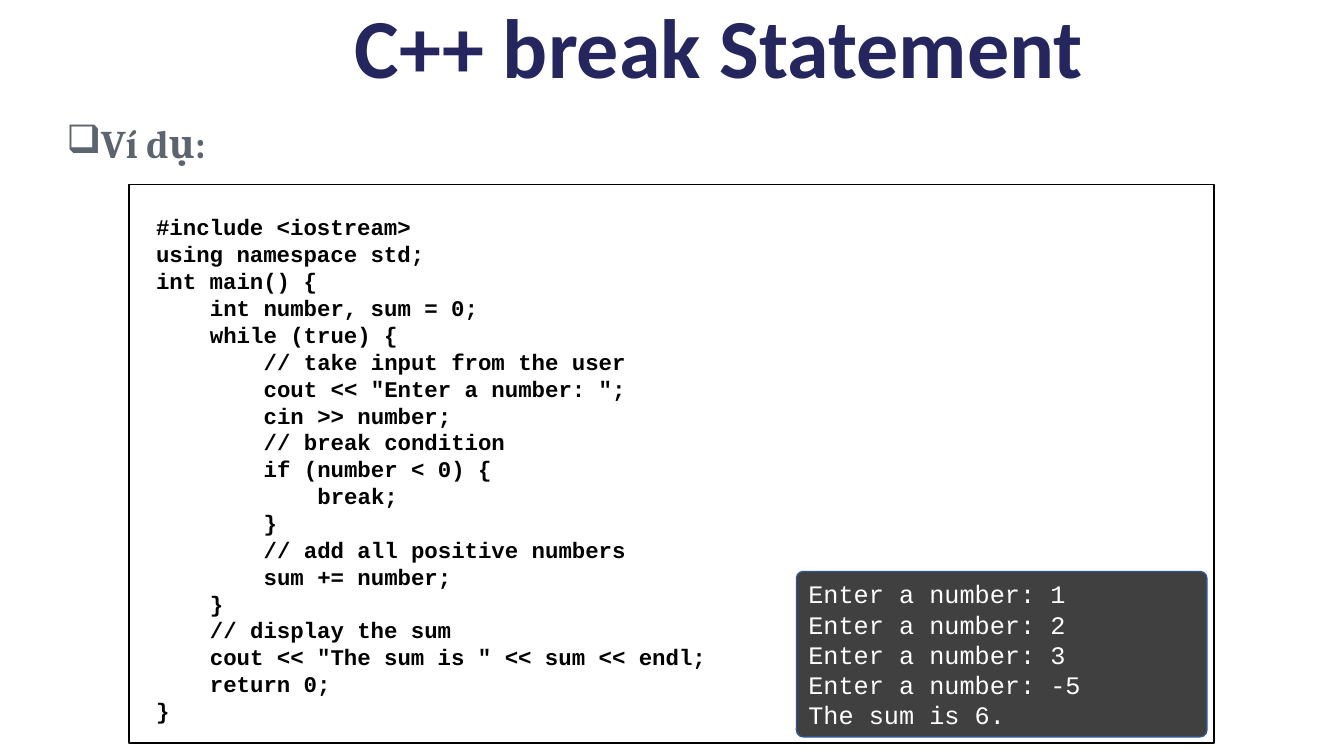
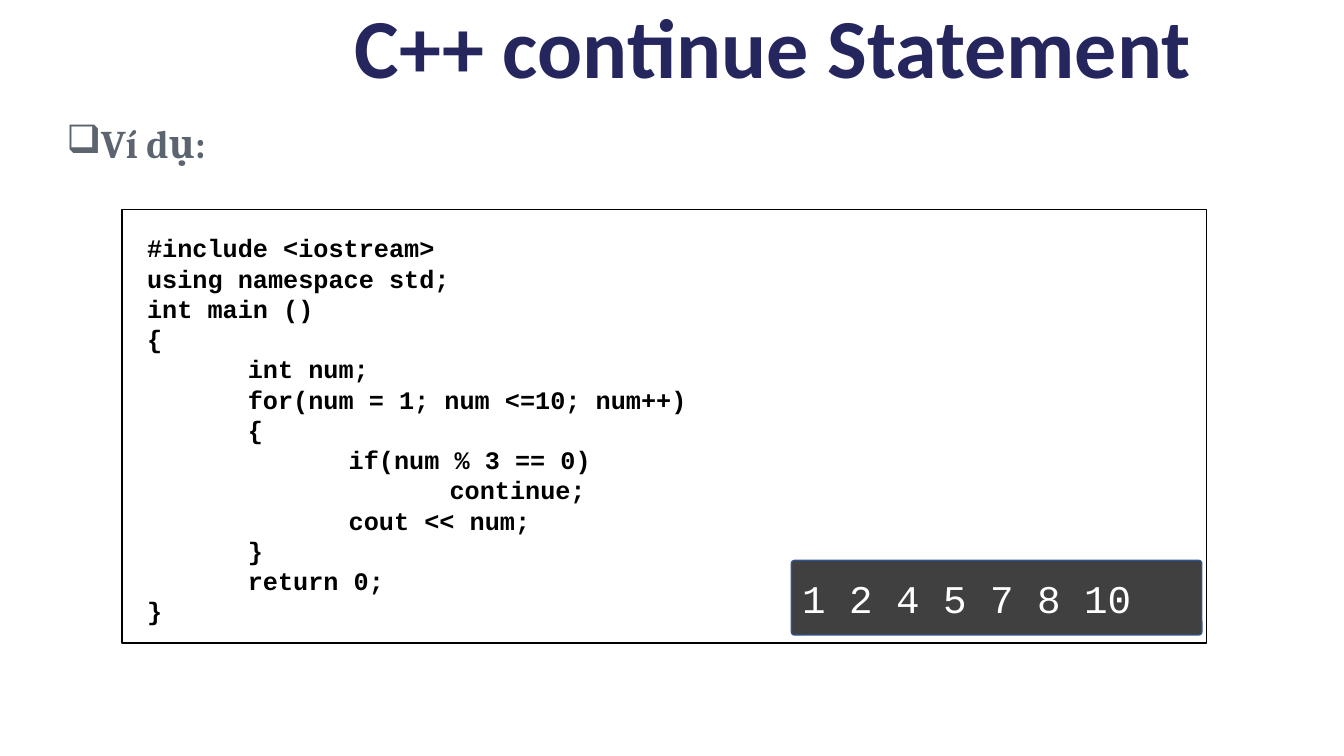
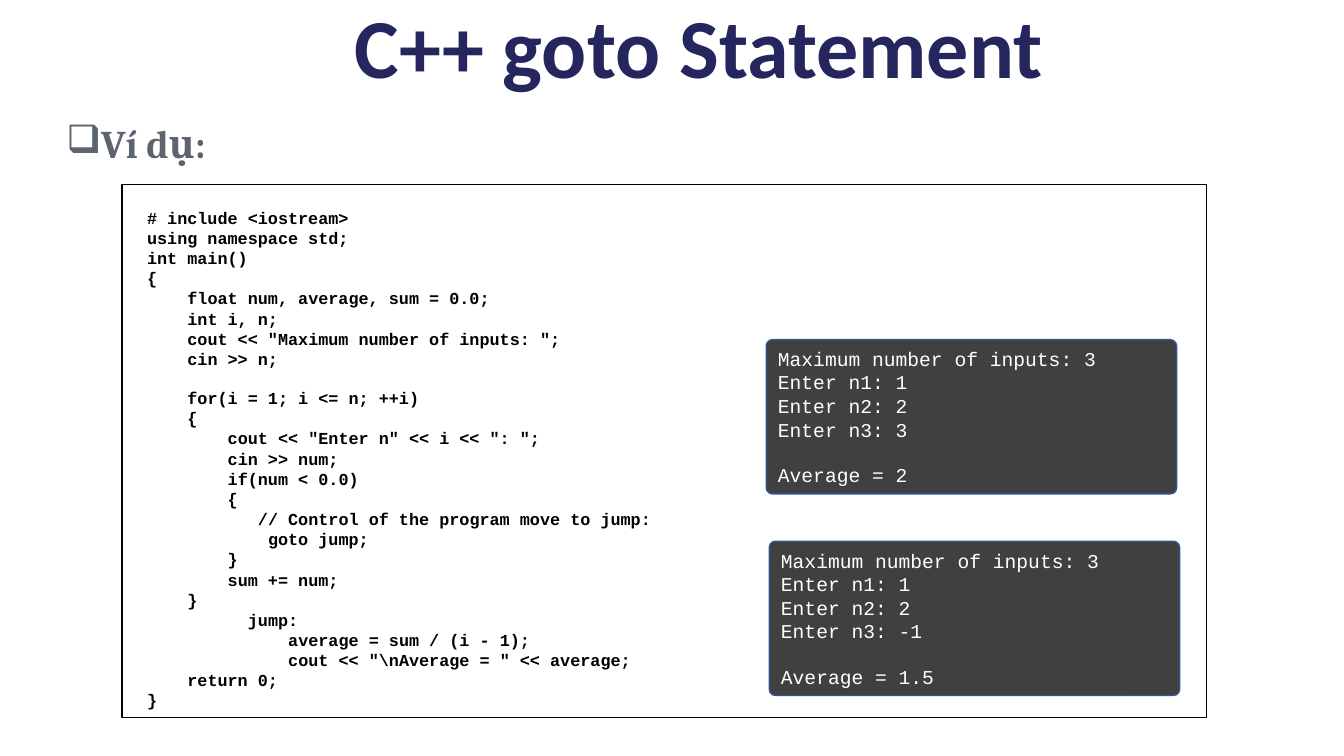
from pptx import Presentation
from pptx.dml.color import RGBColor
from pptx.enum.shapes import MSO_SHAPE
from pptx.enum.text import MSO_ANCHOR, MSO_AUTO_SIZE, PP_ALIGN
from pptx.oxml.ns import qn
from pptx.util import Inches, Pt
from lxml import etree

# Shared look
TITLE_FONT = {"name": "Calibri", "size": Pt(60), "bold": True}
LABEL_FONT = {"name": "Cambria", "size": Pt(28), "bold": True}
MONO = "Courier New"
NAVY, SLATE, BLACK, WHITE = "25265E", "5C646F", "000000", "FFFFFF"
CONSOLE_FILL, CONSOLE_LINE = "404040", "325491"
TITLE_BOX = (3.42, 0.14, 8.56, 0.74)
LABEL_BOX = (0, 1.08, 4.2, 0.74)
CONSOLE_WIDTH = 4.07
TAB_WIDTH = 1.0      # inches
CHAR_RATIO = 0.6     # monospace character width / font size
LINE_RATIO = 1.13    # monospace line height / font size

BREAK_CODE = r"""
#include <iostream>
using namespace std;
int main() {
    int number, sum = 0;
    while (true) {
        // take input from the user
        cout << "Enter a number: ";
        cin >> number;
        // break condition
        if (number < 0) {
            break;
        }
        // add all positive numbers
        sum += number;
    }
    // display the sum
    cout << "The sum is " << sum << endl;
    return 0;
}
"""
BREAK_OUTPUT = """
Enter a number: 1
Enter a number: 2
Enter a number: 3
Enter a number: -5
The sum is 6.
"""
CONTINUE_CODE = r"""
#include <iostream>
using namespace std;
int main ()
{
	int num;
	for(num = 1; num <=10; num++)
	{
		if(num % 3 == 0)
			continue;
		cout << num;
	}
	return 0;
}
"""
GOTO_CODE = r"""
# include <iostream>
using namespace std;
int main()
{
    float num, average, sum = 0.0;
    int i, n;
    cout << "Maximum number of inputs: ";
    cin >> n;

    for(i = 1; i <= n; ++i)
    {
        cout << "Enter n" << i << ": ";
        cin >> num;
        if(num < 0.0)
        {
           // Control of the program move to jump:
            goto jump;
        }
        sum += num;
    }
	jump:
	    average = sum / (i - 1);
	    cout << "\nAverage = " << average;
    return 0;
}
"""
GOTO_OUTPUT = """
Maximum number of inputs: 3
Enter n1: 1
Enter n2: 2
Enter n3: {last}

Average = {average}
"""

# Consoles: left and top within the panel, height, font size, text
SLIDES = [
    {"title": "C++ break Statement", "panel": (1.28, 1.83, 10.76, 5.54),
     "inset": (0.17, 0.24), "code": BREAK_CODE, "size": 16,
     "consoles": [(6.62, 3.84, 1.64, 18, BREAK_OUTPUT)]},
    {"title": "C++ continue Statement", "panel": (1.21, 2.08, 10.76, 4.3),
     "inset": (0.15, 0.18), "code": CONTINUE_CODE, "size": 18,
     "consoles": [(6.64, 3.48, 0.74, 28, "1 2 4 5 7 8 10")]},
    {"title": "C++ goto Statement", "panel": (1.21, 1.83, 10.76, 5.29),
     "inset": (0.15, 0.18), "code": GOTO_CODE, "size": 12,
     "consoles": [
         (6.39, 1.54, 1.53, 14, GOTO_OUTPUT.format(last="3", average="2")),
         (6.42, 3.54, 1.53, 14, GOTO_OUTPUT.format(last="-1", average="1.5"))]},
]


def rgb(value):
    return RGBColor.from_string(value)


def inches(box):
    return [Inches(length) for length in box]


def set_font(font, formats, color):
    for name, value in formats.items():
        setattr(font, name, value)
    font.color.rgb = rgb(color)


def write_line(frame, text, formats, color):
    """Fill the first paragraph of a frame with one heading line."""
    frame.word_wrap = True
    frame.auto_size = MSO_AUTO_SIZE.NONE
    frame.vertical_anchor = MSO_ANCHOR.MIDDLE
    para = frame.paragraphs[0]
    para.alignment = PP_ALIGN.LEFT
    para.line_spacing = 0.9
    span = para.add_run()
    span.text = text
    set_font(span.font, formats, color)
    return para


def write_listing(frame, text, size, color, bold):
    """Write monospaced lines; indents become margins, blank lines spacing."""
    frame.word_wrap = True
    para, gap = frame.paragraphs[0], 0
    for number, line in enumerate(text.strip().splitlines()):
        code = line.lstrip()
        if not code:
            gap += size * LINE_RATIO
            continue
        if number:
            para = frame.add_paragraph()
        para.alignment = PP_ALIGN.LEFT
        para.space_before, gap = Pt(gap), 0
        lead = line[:len(line) - len(code)]
        margin = lead.count("\t") * TAB_WIDTH + lead.count(" ") * CHAR_RATIO * size / 72
        props = para._p.get_or_add_pPr()
        props.set("marL", str(Inches(margin)))
        props.set("indent", "0")
        span = para.add_run()
        span.text = code
        set_font(span.font, {"name": MONO, "size": Pt(size), "bold": bold}, color)


def add_heading(page, title):
    # Title placeholder
    holder = page.shapes.title
    holder.left, holder.top, holder.width, holder.height = inches(TITLE_BOX)
    write_line(holder.text_frame, title, TITLE_FONT, NAVY)
    # Bulleted label
    label = page.shapes.add_textbox(*inches(LABEL_BOX))
    para = write_line(label.text_frame, "Ví dụ:", LABEL_FONT, SLATE)
    para.space_before = Pt(10)
    props = para._p.get_or_add_pPr()
    props.set("marL", "0")
    props.set("indent", str(Inches(0.56)))
    etree.SubElement(props, qn("a:buChar")).set("char", "❑")


def add_code_panel(page, box, inset, code, size):
    left, top, width, height = box
    across, down = inset
    # Code text
    listing = page.shapes.add_textbox(
        *inches((left + across, top + down, 10.18, height - down)))
    write_listing(listing.text_frame, code, size, BLACK, True)
    listing.text_frame.auto_size = MSO_AUTO_SIZE.SHAPE_TO_FIT_TEXT
    # Border
    border = page.shapes.add_shape(MSO_SHAPE.RECTANGLE, *inches(box))
    border.shadow.inherit = False
    border.fill.background()
    border.line.color.rgb = rgb(BLACK)
    border.line.width = Pt(1)


def add_console(page, box, size, output):
    console = page.shapes.add_shape(MSO_SHAPE.ROUNDED_RECTANGLE, *inches(box))
    console.shadow.inherit = False
    console.adjustments[0] = 0.04
    console.fill.solid()
    console.fill.fore_color.rgb = rgb(CONSOLE_FILL)
    console.line.color.rgb = rgb(CONSOLE_LINE)
    console.line.width = Pt(1)
    console.text_frame.vertical_anchor = MSO_ANCHOR.MIDDLE
    write_listing(console.text_frame, output, size, WHITE, False)


def add_example(deck, content):
    page = deck.slides.add_slide(deck.slide_layouts[5])
    panel = content["panel"]
    add_heading(page, content["title"])
    add_code_panel(page, panel, content["inset"], content["code"], content["size"])
    for across, down, height, size, output in content["consoles"]:
        box = (panel[0] + across, panel[1] + down, CONSOLE_WIDTH, height)
        add_console(page, box, size, output)


def main():
    deck = Presentation()
    deck.slide_width, deck.slide_height = Inches(13.33), Inches(7.5)
    for content in SLIDES:
        add_example(deck, content)
    deck.save("out.pptx")


if __name__ == "__main__":
    main()
